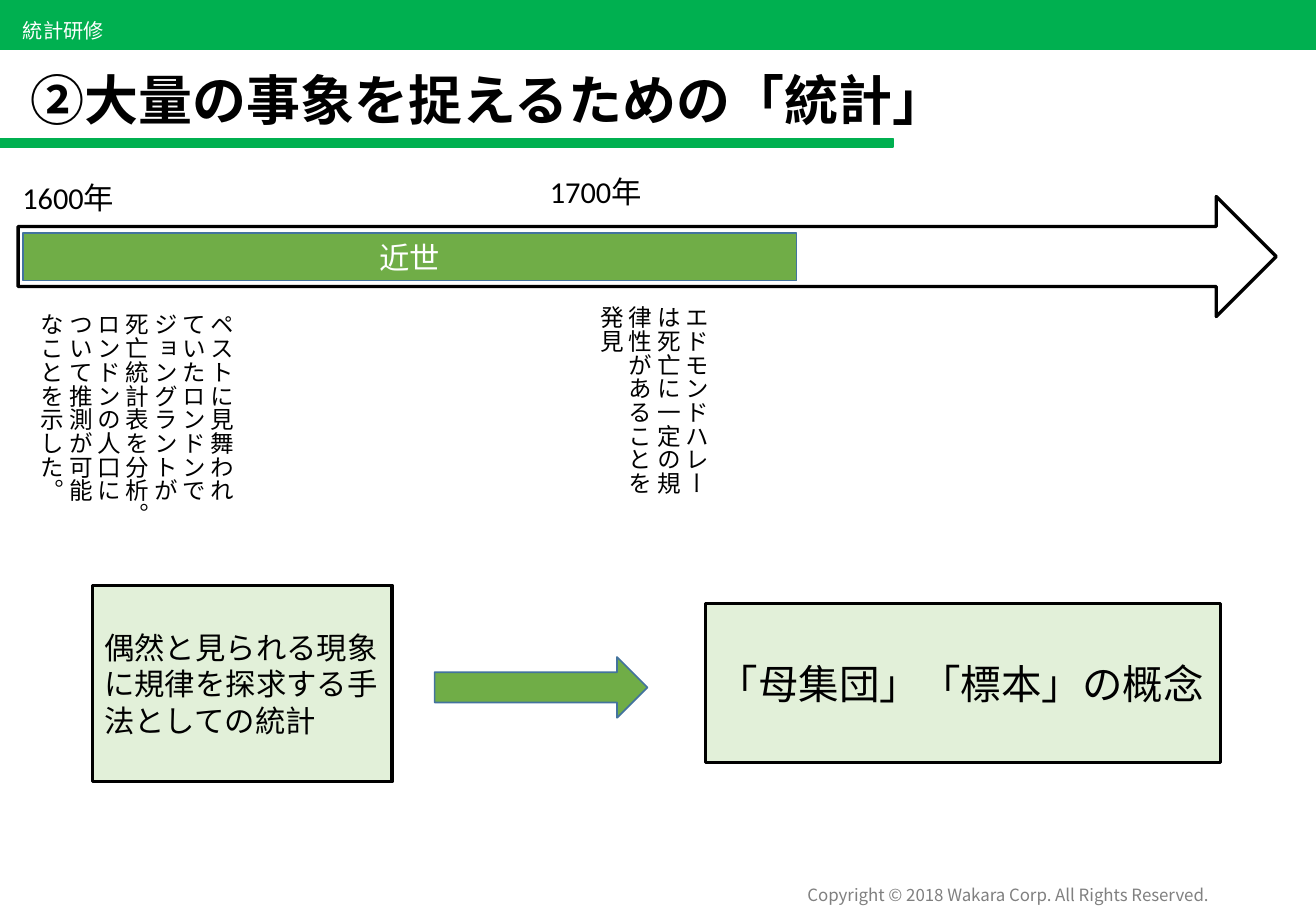
from dataclasses import dataclass, field
from typing import Optional

from lxml.etree import SubElement
from pptx import Presentation
from pptx.dml.color import RGBColor as Rgb
from pptx.enum.shapes import MSO_SHAPE as Kind
from pptx.enum.text import MSO_ANCHOR as Anchor, PP_ALIGN as Align
from pptx.oxml.ns import qn
from pptx.util import Cm, Pt

HUES = {
    "band": "00B050",
    "leaf": "70AD47",
    "pale": "E2F0D9",
    "edge": "43739E",
    "gray": "808080",
    "ink": "000000",
    "white": "FFFFFF",
}
NOTO = "Noto Sans CJK JP"
LATIN = "Calibri"


@dataclass
class Words:
    lines: list[str]
    size: int
    hue: str = "ink"
    face: str = NOTO
    bold: bool = False
    align: Align = Align.LEFT
    space: Optional[float] = None
    frame: dict = field(default_factory=dict)
    tall: bool = False


@dataclass
class Item:
    box: tuple[float, float, float, float]
    words: Optional[Words] = None
    kind: Optional[Kind] = None
    fill: Optional[str] = None
    line: str = "ink"
    width: float = 1


MID = {"vertical_anchor": Anchor.MIDDLE, "word_wrap": False}
WRAP = {"vertical_anchor": Anchor.MIDDLE, "word_wrap": True}
TALL = {"vertical_anchor": Anchor.TOP, "word_wrap": True}

TITLE = Item(
    (0.38, 1.02, 26.31, 1.88),
    Words(["②大量の事象を捉えるための「統計」"], 32, bold=True, space=0.9,
          frame={"vertical_anchor": Anchor.BOTTOM, "word_wrap": True}),
)


def year(left: float, top: float, text: str) -> Item:
    return Item((left, top, 2.6, 0.99),
                Words([text], 18, face=LATIN, align=Align.CENTER, frame=MID))


ITEMS = [
    Item((0, 0, 27.52, 1.02), kind=Kind.RECTANGLE, fill="band", line="band"),
    Item((0, 2.9, 18.67, 0.18), kind=Kind.RECTANGLE, fill="band", line="band"),
    Item((15.77, 18.36, 9.75, 0.69),
         Words(["Copyright © 2018 Wakara Corp. All Rights Reserved."], 10, "gray",
               align=Align.RIGHT, frame=MID)),
    Item((0.23, 0.25, 2.24, 0.76), Words(["統計研修"], 12, "white", frame=MID)),
    Item((0.38, 4.11, 26.31, 2.51), kind=Kind.RIGHT_ARROW, width=2),
    year(0.13, 3.63, "1600年"),
    Item((0.48, 4.88, 16.18, 0.99),
         Words(["近世"], 18, "white", LATIN, align=Align.CENTER, frame=WRAP),
         Kind.RECTANGLE, "leaf", "edge"),
    Item((0.36, 6.3, 4.7, 4.95),
         Words(["ペストに見舞われていたロンドンでジョングラントが死亡統計表を分析。",
                "ロンドンの人口について推測が可能なことを示した。"],
               14, frame=TALL, tall=True)),
    Item((12.09, 6.15, 2.9, 4.95),
         Words(["エドモンドハレーは死亡に一定の規律性があることを発見"],
               14, frame=TALL, tall=True)),
    Item((14.76, 12.62, 10.77, 3.33),
         Words(["「母集団」「標本」の概念"], 24, frame=MID),
         Kind.RECTANGLE, "pale", width=2),
    Item((1.93, 12.24, 6.27, 4.11),
         Words(["偶然と見られる現象に規律を探求する手法としての統計"], 18, frame=WRAP),
         Kind.RECTANGLE, "pale", width=2),
    Item((9.09, 13.74, 4.45, 1.27), kind=Kind.RIGHT_ARROW, fill="leaf", line="edge"),
    year(11.16, 3.51, "1700年"),
]


def tint(name: str) -> Rgb:
    return Rgb.from_string(HUES[name])


def apply(target, values: dict) -> None:
    for name, value in values.items():
        setattr(target, name, value)


def write(shape, words: Words) -> None:
    frame = shape.text_frame
    apply(frame, words.frame)
    if words.tall:
        shape.element.txBody.bodyPr.set("vert", "eaVert")
    for index, line in enumerate(words.lines):
        para = frame.add_paragraph() if index else frame.paragraphs[0]
        apply(para, {"alignment": words.align, "line_spacing": words.space})
        run = para.add_run()
        run.text = line
        apply(run.font, {"name": words.face, "size": Pt(words.size), "bold": words.bold})
        run.font.color.rgb = tint(words.hue)
        SubElement(run.font._element, qn("a:ea")).set("typeface", NOTO)


def draw(slide, item: Item) -> None:
    box = [Cm(side) for side in item.box]
    if item.kind is None:
        shape = slide.shapes.add_textbox(*box)
    else:
        shape = slide.shapes.add_shape(item.kind, *box)
        shape.shadow.inherit = False
        if item.fill:
            shape.fill.solid()
            shape.fill.fore_color.rgb = tint(item.fill)
        else:
            shape.fill.background()
        shape.line.color.rgb = tint(item.line)
        shape.line.width = Pt(item.width)
    if item.words:
        write(shape, item.words)


def main() -> None:
    deck = Presentation()
    apply(deck, {"slide_width": Cm(27.52), "slide_height": Cm(19.05)})
    slide = deck.slides.add_slide(deck.slide_layouts[5])
    title = slide.shapes.title
    apply(title, dict(zip(("left", "top", "width", "height"), map(Cm, TITLE.box))))
    write(title, TITLE.words)
    for item in ITEMS:
        draw(slide, item)
    deck.save("out.pptx")


if __name__ == "__main__":
    main()
